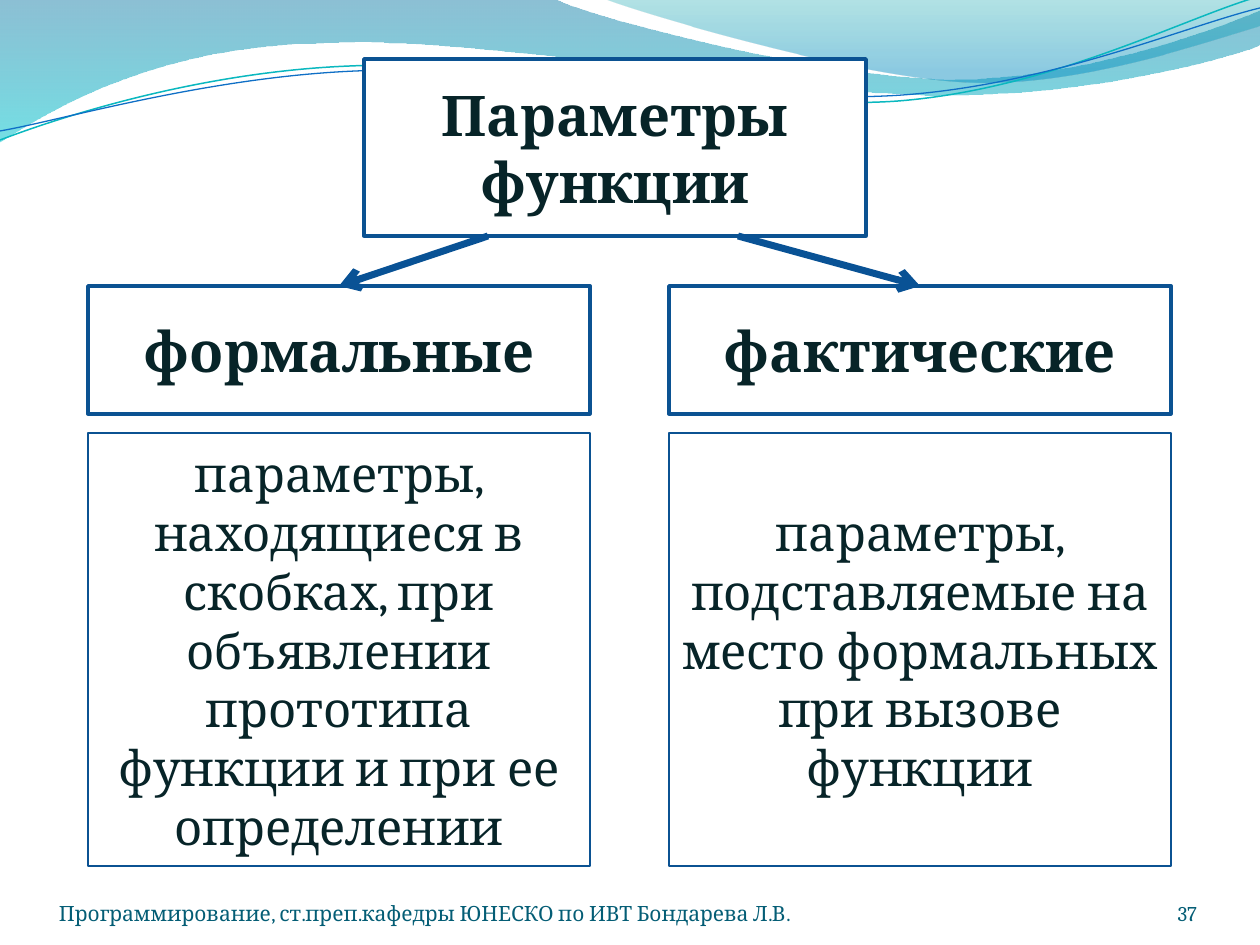
from lxml import etree
from pptx import Presentation
from pptx.dml.color import RGBColor
from pptx.enum.shapes import MSO_CONNECTOR, MSO_SHAPE
from pptx.enum.text import MSO_ANCHOR, PP_ALIGN
from pptx.oxml.ns import qn
from pptx.util import Pt

RECT = MSO_SHAPE.RECTANGLE
LINE = MSO_CONNECTOR.STRAIGHT
MID, BASE = MSO_ANCHOR.MIDDLE, MSO_ANCHOR.BOTTOM
LEFT, CENTER, RIGHT = PP_ALIGN.LEFT, PP_ALIGN.CENTER, PP_ALIGN.RIGHT
PX = 914400 / 126
FONT = "Cambria"
EDGE, INK, NOTE = "0B5292", "072428", "045D75"

TITLE = "Параметры функции"
KINDS = [
    ("формальные", "параметры, находящиеся в скобках, при объявлении прототипа "
                   "функции и при ее определении"),
    ("фактические", "параметры, подставляемые на место формальных при вызове функции"),
]
FOOT = [
    ("Программирование, ст.преп.кафедры ЮНЕСКО по ИВТ Бондарева Л.В.", 59, 770, LEFT),
    ("37", 1092, 105, RIGHT),
]
BANDS = [
    ([(0, 0), (554, -1), (600, 21, 837, 79, 955, 79), (1075, 79, 1207, 33, 1260, 11),
      (1261, 45), (1239, 55, 1096, 96, 940, 95), (784, 95, 481, 35, 324, 43),
      (163, 45, 58, 105, -1, 142)],
     [(0, "0074A1", 45), (1, "00C6CF", 55)]),
    ([(604, -1), (641, 14, 859, 78, 969, 82), (1079, 87, 1211, 40, 1260, 26), (1260, 0)],
     [(0, "00A1A9", 30), (0.8, "008BBF", 45)]),
]
WAVES = [
    ([(0, 140), (60, 117, 199, 72, 349, 66), (498, 59, 747, 112, 898, 101),
      (1050, 89, 1182, 19, 1257, -3)], "0AB8BF", 0.85),
    ([(0, 131), (59, 121, 207, 77, 357, 71), (508, 64, 751, 106, 903, 95),
      (1053, 84, 1186, 26, 1260, 8)], "0F6FC6", 0.75),
]
WIDE, GAP, EDGE_X = 502, 79, 88
TOP = (364, 59, WIDE, 177)
HEAD_Y, HEAD_H = 286, 128
BODY_Y, BODY_H = 433, 433
TAIL_X, TAIL_GAP = 488, 250


def px(*nums):
    return [round(n * PX) for n in nums]


def rgb(code):
    return RGBColor.from_string(code)


def curve(steps, close):
    pts = [px(*step[k:k + 2]) for step in steps for k in range(0, len(step), 2)]
    pen = shapes.build_freeform(*pts[0])
    pen.add_line_segments(pts[1:], close=close)
    shape = pen.convert_to_shape()
    shape.shadow.inherit = False
    legs = iter(list(shape.element.iter(qn("a:lnTo"))))
    for step in steps[1:]:
        leg = next(legs)
        if len(step) == 6:
            leg.tag = qn("a:cubicBezTo")
            for _ in range(2):
                extra = next(legs)
                leg.append(extra[0])
                extra.getparent().remove(extra)
    return shape


def shade(shape, stops):
    shape.line.fill.background()
    shape.fill.gradient()
    shape.fill.gradient_angle = 270
    for stop, (pos, code, alpha) in zip(shape.fill.gradient_stops, stops):
        stop.position = pos
        stop.color.rgb = rgb(code)
    for node, (pos, code, alpha) in zip(shape.element.iter(qn("a:srgbClr")), stops):
        etree.SubElement(node, qn("a:alpha")).set("val", str(alpha * 1000))


def write(shape, text, size, color, align, anchor, bold=False):
    area = shape.text_frame
    area.text = text
    area.word_wrap = True
    area.vertical_anchor = anchor
    para = area.paragraphs[0]
    para.alignment = align
    font = para.runs[0].font
    font.name, font.size, font.bold = FONT, Pt(size), bold
    font.color.rgb = rgb(color)


def frame(shape, text, size, width, bold=False):
    shape.fill.solid()
    shape.fill.fore_color.rgb = rgb("FFFFFF")
    shape.line.color.rgb = rgb(EDGE)
    shape.line.width = Pt(width)
    write(shape, text, size, INK, CENTER, MID, bold)


def box(spot, *style):
    shape = shapes.add_shape(RECT, *px(*spot))
    shape.shadow.inherit = False
    frame(shape, *style)
    return shape


def arrow(x, y, goal):
    link = shapes.add_connector(LINE, *px(x, y, x, y))
    link.end_connect(goal, 0)
    link.line.color.rgb = rgb("095295")
    link.line.width = Pt(4)
    props = link.element.spPr
    tip = etree.SubElement(props.find(qn("a:ln")), qn("a:tailEnd"))
    tip.set("type", "arrow")
    etree.SubElement(props, qn("a:effectLst"))


deck = Presentation()
deck.slide_width, deck.slide_height = px(1260, 945)
slide = deck.slides.add_slide(deck.slide_layouts[5])
shapes = slide.shapes

for steps, stops in BANDS:
    shade(curve(steps, True), stops)
for steps, color, width in WAVES:
    wave = curve(steps, False)
    wave.fill.background()
    wave.line.color.rgb = rgb(color)
    wave.line.width = Pt(width)

for text, x, wide, align in FOOT:
    note = shapes.add_textbox(*px(x, 876, wide, 50))
    write(note, text, 12, NOTE, align, BASE)
    area = note.text_frame
    area.margin_left = area.margin_right = area.margin_top = area.margin_bottom = 0

title = shapes.title
title.left, title.top, title.width, title.height = px(*TOP)
frame(title, TITLE, 32, 2, True)
shapes.element.append(title.element)

for i, (name, text) in enumerate(KINDS):
    x = EDGE_X + i * (WIDE + GAP)
    head = box((x, HEAD_Y, WIDE, HEAD_H), name, 32, 2, True)
    arrow(TAIL_X + i * TAIL_GAP, TOP[1] + TOP[3], head)
    box((x, BODY_Y, WIDE, BODY_H), text, 28, 1)

deck.save("out.pptx")
